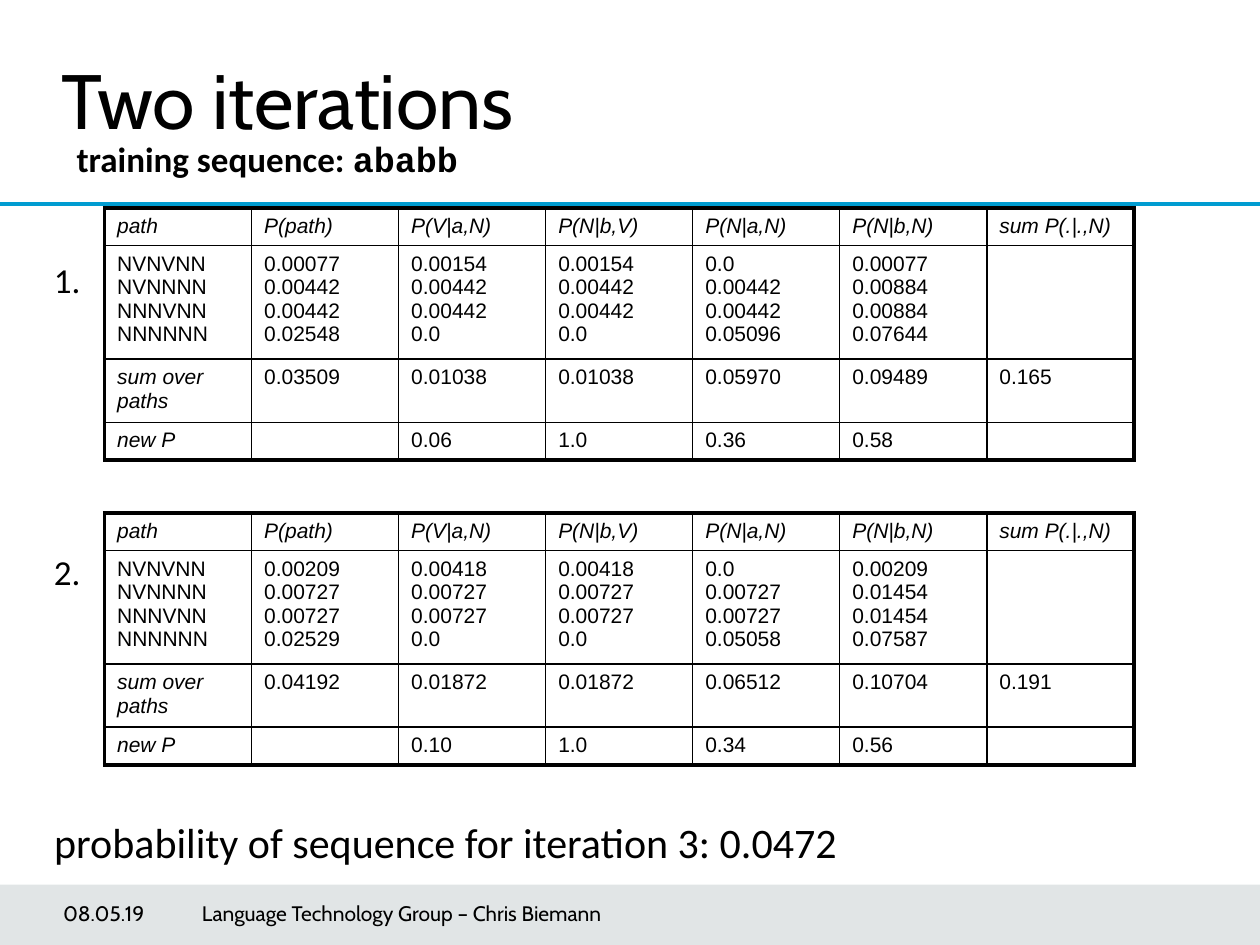
from copy import deepcopy
from dataclasses import dataclass
from typing import NamedTuple

from lxml.etree import SubElement
from pptx import Presentation
from pptx.dml.color import RGBColor
from pptx.enum.shapes import MSO_CONNECTOR, MSO_SHAPE
from pptx.enum.text import MSO_ANCHOR, MSO_AUTO_SIZE, PP_ALIGN
from pptx.oxml.ns import qn
from pptx.util import Inches, Pt


@dataclass(frozen=True)
class Theme:
    ink: str = "000000"
    accent: str = "009CD1"
    band: str = "3B515B"
    band_opacity: int = 15
    heading_font: str = "Cabin"
    body_font: str = "Calibri"
    table_font: str = "Arial"
    code_font: str = "Courier New"
    title_size: int = 44
    body_size: int = 24
    label_size: int = 20
    small_size: int = 12
    rule: float = 2
    outer_border: float = 2.25
    inner_border: float = 1


class Box(NamedTuple):
    """A place on the slide, in percent of its width and height."""
    left: float
    top: float
    width: float
    height: float


@dataclass(frozen=True)
class Iteration:
    top: float
    path_values: list[str]
    sums: list[str]
    new_p: list[str]

    def rows(self) -> list[list[str]]:
        return [
            HEADINGS,
            [PATHS, *(values.replace(" ", "\v") for values in self.path_values), ""],
            ["sum over paths", *self.sums],
            ["new P", "", *self.new_p, ""],
        ]


THEME = Theme()
SLIDE_W, SLIDE_H = Inches(10), Inches(7.5)
HEADINGS = ["path", "P(path)", "P(V|a,N)", "P(N|b,V)", "P(N|a,N)", "P(N|b,N)", "sum P(.|.,N)"]
PATHS = "NVNVNN\vNVNNNN\vNNNVNN\vNNNNNN"
ROW_SHARES = [3.8, 11.3, 6.3, 3.8]
ITERATIONS = [
    Iteration(
        22,
        ["0.00077 0.00442 0.00442 0.02548", "0.00154 0.00442 0.00442 0.0",
         "0.00154 0.00442 0.00442 0.0", "0.0 0.00442 0.00442 0.05096",
         "0.00077 0.00884 0.00884 0.07644"],
        ["0.03509", "0.01038", "0.01038", "0.05970", "0.09489", "0.165"],
        ["0.06", "1.0", "0.36", "0.58"],
    ),
    Iteration(
        54.27,
        ["0.00209 0.00727 0.00727 0.02529", "0.00418 0.00727 0.00727 0.0",
         "0.00418 0.00727 0.00727 0.0", "0.0 0.00727 0.00727 0.05058",
         "0.00209 0.01454 0.01454 0.07587"],
        ["0.04192", "0.01872", "0.01872", "0.06512", "0.10704", "0.191"],
        ["0.10", "1.0", "0.34", "0.56"],
    ),
]


def across(share: float) -> int:
    return round(SLIDE_W * share / 100)


def down(share: float) -> int:
    return round(SLIDE_H * share / 100)


def emu(box: Box) -> tuple[int, int, int, int]:
    return across(box.left), down(box.top), across(box.width), down(box.height)


def style(run, font: str, size: float, bold=False, italic=False) -> None:
    run.font.name, run.font.size = font, Pt(size)
    run.font.bold, run.font.italic = bold, italic
    run.font.color.rgb = RGBColor.from_string(THEME.ink)


def fill_placeholder(holder, box: Box, text: str, font: str, size: float, anchor) -> None:
    holder.left, holder.top, holder.width, holder.height = emu(box)
    frame = holder.text_frame
    frame.text = text
    frame.auto_size, frame.vertical_anchor = MSO_AUTO_SIZE.NONE, anchor
    paragraph = frame.paragraphs[0]
    paragraph.alignment = PP_ALIGN.LEFT
    properties = paragraph._p.get_or_add_pPr()
    properties.set("marL", "0")
    properties.set("indent", "0")
    SubElement(properties, qn("a:buNone"))
    style(paragraph.runs[0], font, size)


def add_text(slide, box: Box, text: str, font: str, size: float, bold=False, wrap=True):
    frame = slide.shapes.add_textbox(*emu(box)).text_frame
    frame.word_wrap = wrap
    frame.text = text
    for paragraph in frame.paragraphs:
        style(paragraph.runs[0], font, size, bold)
    return frame


def add_footer_text(slide, box: Box, text: str) -> None:
    frame = add_text(slide, box, text, THEME.heading_font, THEME.small_size)
    frame.margin_left = 0
    frame.vertical_anchor = MSO_ANCHOR.MIDDLE


def set_border(cell, side: str, width: float) -> None:
    line = SubElement(cell._tc.get_or_add_tcPr(), qn(f"a:ln{side}"), w=str(Pt(width)))
    SubElement(SubElement(line, qn("a:solidFill")), qn("a:srgbClr"), val=THEME.ink)


def fill_cell(cell, text: str, italic: bool) -> None:
    cell.text_frame.text = text
    paragraph = cell.text_frame.paragraphs[0]
    for run in paragraph.runs:
        style(run, THEME.table_font, THEME.small_size, italic=italic)
    # Line breaks and empty cells need the type size as well
    for line_break in paragraph._p.findall(qn("a:br")):
        line_break.append(deepcopy(paragraph.runs[0].font._element))
    if not text:
        SubElement(paragraph._p, qn("a:endParaRPr"), sz=str(THEME.small_size * 100))


def add_iteration_table(slide, iteration: Iteration) -> None:
    rows = iteration.rows()
    box = Box(8.3, iteration.top, 81.7, sum(ROW_SHARES))
    table = slide.shapes.add_table(len(rows), len(HEADINGS), *emu(box)).table
    table.first_row = table.horz_banding = False
    for column in table.columns:
        column.width = across(box.width / len(HEADINGS))
    for row, share in zip(table.rows, ROW_SHARES):
        row.height = down(share)
    last_row, last_column = len(rows) - 1, len(HEADINGS) - 1
    for r, texts in enumerate(rows):
        for c, text in enumerate(texts):
            cell = table.cell(r, c)
            fill_cell(cell, text, italic=r == 0 or (c == 0 and r != 1))
            outer_sides = {"L": c == 0, "R": c == last_column, "T": r == 0, "B": r == last_row}
            for side, outer in outer_sides.items():
                set_border(cell, side, THEME.outer_border if outer else THEME.inner_border)
            cell.fill.background()


def add_frame(slide) -> None:
    """Footer band and the rule below the heading."""
    band = slide.shapes.add_shape(MSO_SHAPE.RECTANGLE, *emu(Box(0, 93.6, 100, 6.4)))
    band.shadow.inherit = False
    band.fill.solid()
    band.fill.fore_color.rgb = RGBColor.from_string(THEME.band)
    band.line.fill.background()
    tint = band._element.spPr.find(qn("a:solidFill"))[0]
    SubElement(tint, qn("a:alpha"), val=str(THEME.band_opacity * 1000))

    rule = slide.shapes.add_connector(MSO_CONNECTOR.STRAIGHT, 0, down(21.6), SLIDE_W, down(21.6))
    rule.line.color.rgb = RGBColor.from_string(THEME.accent)
    rule.line.width = Pt(THEME.rule)
    SubElement(rule._element.spPr, qn("a:effectLst"))


def main() -> None:
    deck = Presentation()
    deck.slide_width, deck.slide_height = SLIDE_W, SLIDE_H
    slide = deck.slides.add_slide(deck.slide_layouts[1])
    add_frame(slide)

    # Heading and conclusion
    title, conclusion = slide.placeholders
    fill_placeholder(title, Box(3.9, 4.27, 75.2, 12.27), "Two iterations",
                     THEME.heading_font, THEME.title_size, MSO_ANCHOR.MIDDLE)
    fill_placeholder(conclusion, Box(3.3, 85.73, 94.5, 5.33),
                     "probability of sequence for iteration 3: 0.0472",
                     THEME.body_font, THEME.body_size, MSO_ANCHOR.TOP)

    # Iteration numbers, spaced to sit beside their tables
    numbers = add_text(slide, Box(3.3, 26.67, 5, 56.67), "1.\n2.", THEME.body_font, THEME.label_size)
    numbers.paragraphs[1].space_before = Pt(143)
    for iteration in ITERATIONS:
        add_iteration_table(slide, iteration)

    # Training sequence
    training = add_text(slide, Box(5.1, 13.87, 32.6, 5.87), "training sequence: ",
                        THEME.body_font, THEME.label_size, bold=True, wrap=False)
    sequence = training.paragraphs[0].add_run()
    sequence.text = "ababb"
    style(sequence, THEME.code_font, THEME.label_size, bold=True)

    # Footer
    add_footer_text(slide, Box(5, 94, 9.9, 5.33), "08.05.19")
    add_footer_text(slide, Box(16.03, 94, 49.17, 5.33), "Language Technology Group – Chris Biemann")
    deck.save("out.pptx")


if __name__ == "__main__":
    main()
